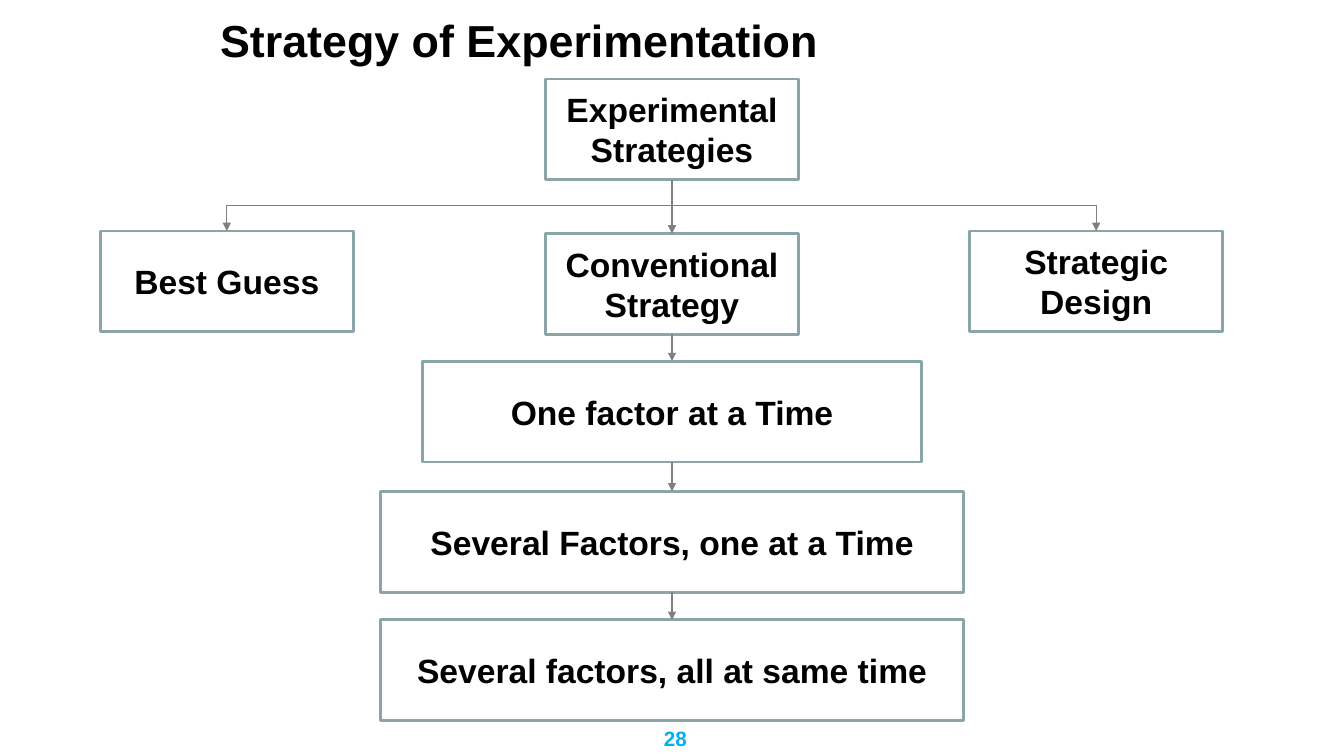
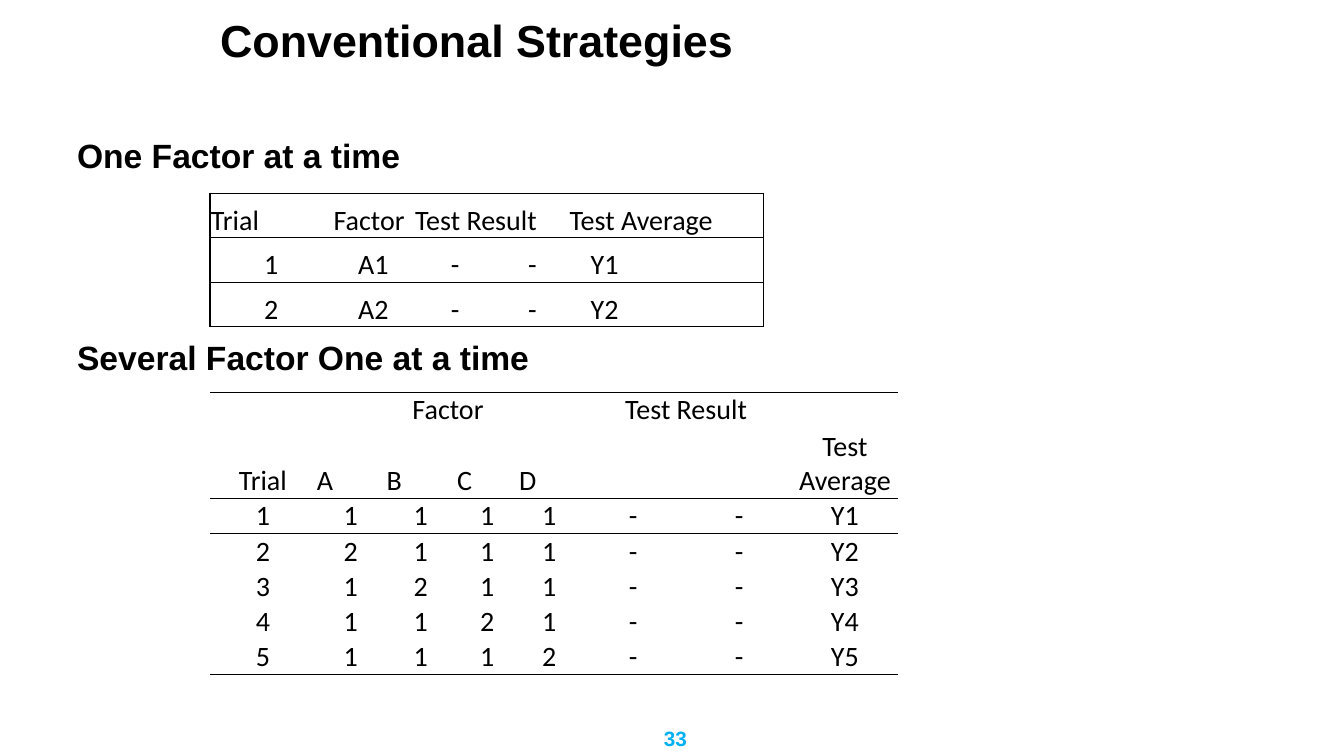
from dataclasses import dataclass
from itertools import product

from lxml import etree
from pptx import Presentation
from pptx import util as u
from pptx.dml.color import RGBColor
from pptx.enum import dml, shapes, text
from pptx.oxml import ns


@dataclass(frozen=True)
class Theme:
    ink: str = "000000"
    edge: str = "8AA6A8"
    wire: str = "808080"
    page: str = "00B0F0"
    head: str = "Arial"
    body: str = "Calibri"
    title: float = 32
    label: float = 24
    cell: float = 20
    foot: float = 14.8


@dataclass(frozen=True)
class Box:
    label: str
    mid: float
    top: float
    wide: float


@dataclass(frozen=True)
class Grid:
    left: float
    top: float
    cols: tuple[float, ...]
    rows: tuple[float, ...]
    cells: tuple[tuple[str, ...], ...]
    spans: tuple[tuple[int, int, int, int], ...]  # first row, col; last row, col
    heads: int    # header rows
    plain: tuple[int, ...]  # rows whose unmerged cells are left-aligned
    frame: bool   # lines at the left and right


T = Theme()
WIDE, HIGH = u.Inches(13.33), u.Inches(7.5)
COLS, ROWS = 160, 90
MID, TALL = COLS / 2, 12
AL, AN = text.PP_ALIGN, text.MSO_ANCHOR


def gx(n: float) -> int:
    return round(WIDE * n / COLS)


def gy(n: float) -> int:
    return round(HIGH * n / ROWS)


def put(frame, words: str, size: float, font: str = T.head, color: str = T.ink,
        bold: bool = True, align=AL.CENTER, anchor=AN.MIDDLE) -> None:
    """Write one run into a text frame."""
    frame.word_wrap = True
    frame.vertical_anchor = anchor
    para = frame.paragraphs[0]
    para.alignment = align
    run = para.add_run()
    run.text = words
    run.font.size, run.font.name, run.font.bold = u.Pt(size), font, bold
    run.font.color.rgb = RGBColor.from_string(color)


def note(slide, at: tuple[float, ...], words: str, size: float, **style) -> None:
    x, y, w, h = at
    box = slide.shapes.add_textbox(gx(x), gy(y), gx(w), gy(h))
    put(box.text_frame, words, size, **style)


def start(deck, title: str, page: str):
    """Add a slide with the shared title and page number."""
    slide = deck.slides.add_slide(deck.slide_layouts[5])
    head = slide.shapes.title
    head.left, head.top, head.width, head.height = gx(25), gy(1.9), gx(135), gy(5.6)
    put(head.text_frame, title, T.title, align=AL.LEFT)
    note(slide, (74, 85.8, 12.8, 4.9), page, T.foot, color=T.page, anchor=AN.TOP)
    return slide


# Flow chart parts
def draw(slide, box: Box):
    rect = slide.shapes.add_shape(shapes.MSO_SHAPE.RECTANGLE, gx(box.mid - box.wide / 2),
                                  gy(box.top), gx(box.wide), gy(TALL))
    rect.shadow.inherit = False
    rect.fill.background()
    rect.line.color.rgb = RGBColor.from_string(T.edge)
    rect.line.width = u.Pt(2)
    put(rect.text_frame, box.label, T.label)
    return rect


def link(slide, top, low) -> None:
    """Join the bottom of one box to the top of another with an arrow."""
    x1, y1 = top.left + top.width // 2, top.top + top.height
    x2, y2 = low.left + low.width // 2, low.top
    bent = abs(x2 - x1) > gx(1)
    kind = shapes.MSO_CONNECTOR.ELBOW if bent else shapes.MSO_CONNECTOR.STRAIGHT
    wire = slide.shapes.add_connector(kind, x1, y1, x2, y2)
    wire.begin_connect(top, 2)
    wire.end_connect(low, 0)
    props = wire._element.spPr
    if bent:  # turn the elbow so that it leaves downwards
        w, h = y2 - y1, abs(x2 - x1)
        wire.left, wire.top = (x1 + x2 - w) // 2, (y1 + y2 - h) // 2
        wire.width, wire.height = w, h
        form = props.find(ns.qn("a:xfrm"))
        form.attrib.pop("flipH", None)
        form.set("rot", str((90 if x2 < x1 else 270) * 60000))
        if x2 > x1:
            form.set("flipH", "1")
    wire.line.color.rgb = RGBColor.from_string(T.wire)
    wire.line.width = u.Pt(0.75)
    etree.SubElement(wire.line._get_or_add_ln(), ns.qn("a:tailEnd"), type="triangle")
    etree.SubElement(props, ns.qn("a:effectLst"))


# Table parts
def rule(cell, sides: str) -> None:
    """Draw the named sides of a cell, ahead of its fill."""
    props = cell._tc.get_or_add_tcPr()
    for spot, side in enumerate(sides):
        line = etree.Element(ns.qn(f"a:ln{side}"), w=str(u.Pt(1)))
        fill = etree.SubElement(line, ns.qn("a:solidFill"))
        etree.SubElement(fill, ns.qn("a:srgbClr"), val=T.ink)
        props.insert(spot, line)


def chart(slide, grid: Grid) -> None:
    nr, nc = len(grid.rows), len(grid.cols)
    frame = slide.shapes.add_table(nr, nc, gx(grid.left), gy(grid.top),
                                   gx(sum(grid.cols)), gy(sum(grid.rows)))
    table = frame.table
    table.first_row = table.horz_banding = False
    # No style, no grid
    table._tbl.tblPr.find(ns.qn("a:tableStyleId")).text = "{2D5ABB26-0587-4C30-8999-92F81FD0307C}"
    for col, w in zip(table.columns, grid.cols):
        col.width = gx(w)
    for row, h in zip(table.rows, grid.rows):
        row.height = gy(h)
    for r1, c1, r2, c2 in grid.spans:
        table.cell(r1, c1).merge(table.cell(r2, c2))
    for r, c in product(range(nr), range(nc)):
        cell, words = table.cell(r, c), grid.cells[r][c]
        cell.fill.background()
        cell.margin_left = cell.margin_right = cell.margin_top = u.Inches(0.01)
        cell.margin_bottom = 0
        cell.vertical_anchor = AN.BOTTOM
        last = r + (cell.span_height if cell.is_merge_origin else 1) - 1
        end = c + (cell.span_width if cell.is_merge_origin else 1) - 1
        marks = (("L", grid.frame and c == 0), ("R", grid.frame and end == nc - 1),
                 ("T", r in (0, grid.heads)), ("B", last in (grid.heads - 1, nr - 1)))
        rule(cell, "".join(side for side, on in marks if on))
        if words:
            para = cell.text_frame.paragraphs[0]
            para.alignment = AL.LEFT if r in grid.plain else AL.CENTER
            run = para.add_run()
            run.text = words
            run.font.size, run.font.name = u.Pt(T.cell), T.body
            run.font.color.rgb = RGBColor.from_string(T.ink)


# Content
ROOT = Box("Experimental Strategies", MID, 9.4, 30.1)
SIDES = (Box("Best Guess", 27, 27.5, 30.1), Box("Strategic Design", 130.5, 27.5, 30.1))
CHAIN = (
    Box("Conventional Strategy", MID, 27.8, 30.1),
    Box("One factor at a Time", MID, 43, 59.5),
    Box("Several Factors, one at a Time", MID, 58.5, 69.5),
    Box("Several factors, all at same time", MID, 73.8, 69.5),
)
SINGLE = Grid(
    25, 23, (14.6, 9.7, 9.8, 8.6, 8.6, 14.6), (5.3,) * 3,
    (("Trial", "Factor", "Test Result", "", "Test Average", ""),
     *((str(n), f"A{n}", "-", "-", f"Y{n}", "") for n in (1, 2))),
    ((0, 2, 0, 3), (0, 4, 0, 5)), 1, (0,), True)
# Each trial after the first raises one factor to level 2
SERIES = Grid(
    25, 46.7, (12.6, 8.3, 8.4, 7.4, 7.4, 12.6, 12.6, 12.6), (4.2, 8.4) + (4.2,) * 5,
    (("Trial", "Factor", "", "", "", "Test Result", "", "Test Average"),
     ("", "A", "B", "C", "D", "", "", ""),
     *((str(n), *("2" if n == f + 2 else "1" for f in range(4)), "-", "-", f"Y{n}")
       for n in range(1, 6))),
    ((0, 0, 1, 0), (0, 1, 0, 4), (0, 5, 0, 6), (0, 7, 1, 7)), 2, (1,), False)
HEADS = (("One Factor at a time", 15.5), ("Several Factor One at a time", 39.5))


def main() -> None:
    deck = Presentation()
    deck.slide_width, deck.slide_height = WIDE, HIGH

    # Strategy tree
    slide = start(deck, "Strategy of Experimentation", "28")
    root = draw(slide, ROOT)
    for box in SIDES:
        link(slide, root, draw(slide, box))
    above = root
    for box in CHAIN:
        below = draw(slide, box)
        link(slide, above, below)
        above = below

    # Trial tables
    slide = start(deck, "Conventional Strategies", "33")
    for words, top in HEADS:
        note(slide, (8, top, 144, 6), words, T.label, align=AL.LEFT)
    for grid in (SINGLE, SERIES):
        chart(slide, grid)

    deck.save("out.pptx")


if __name__ == "__main__":
    main()
